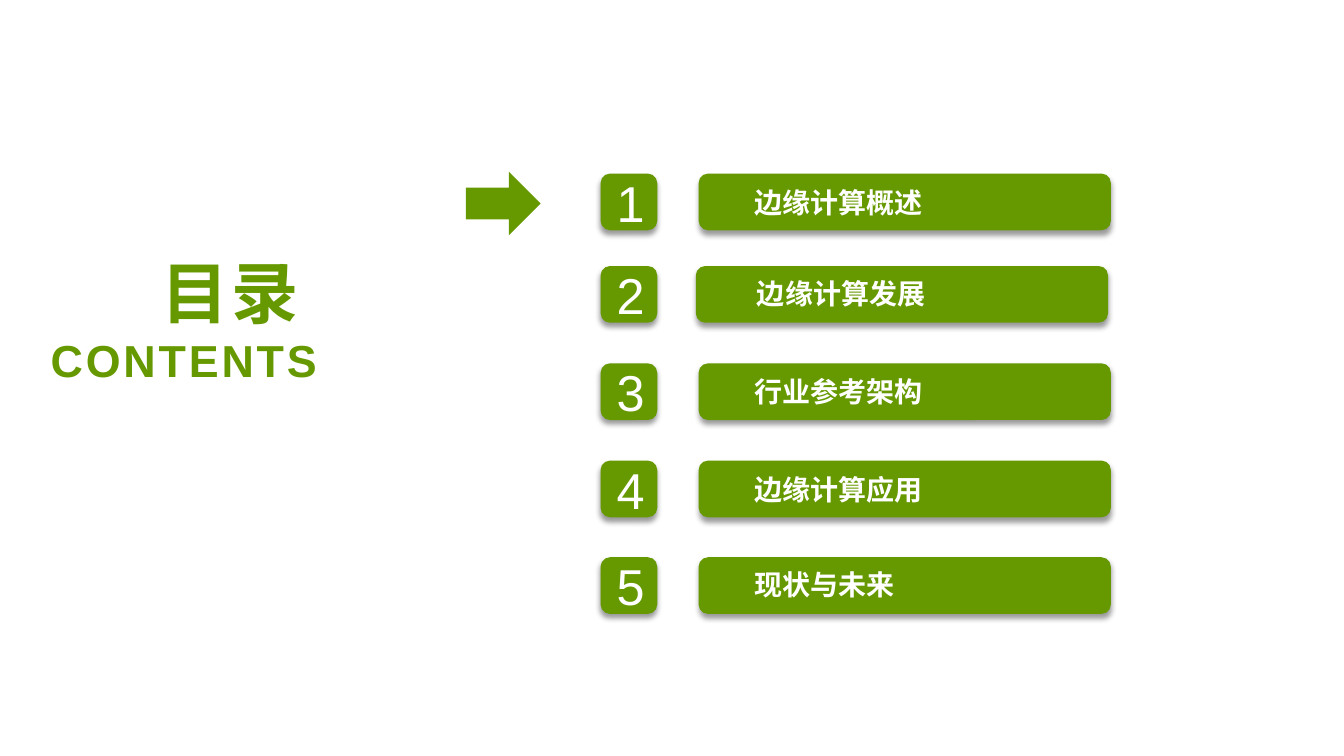
from dataclasses import dataclass

from lxml import etree
from pptx import Presentation
from pptx.dml.color import RGBColor
from pptx.enum.shapes import MSO_SHAPE
from pptx.enum.text import MSO_ANCHOR, PP_ALIGN
from pptx.oxml.ns import qn
from pptx.util import Pt

ROUNDED = MSO_SHAPE.ROUNDED_RECTANGLE
RIGHT_ARROW = MSO_SHAPE.RIGHT_ARROW
TOP, MIDDLE = MSO_ANCHOR.TOP, MSO_ANCHOR.MIDDLE
LEFT, CENTER, RIGHT = PP_ALIGN.LEFT, PP_ALIGN.CENTER, PP_ALIGN.RIGHT


@dataclass(frozen=True)
class Theme:
    green: RGBColor = RGBColor(0x66, 0x99, 0x00)
    white: RGBColor = RGBColor(0xFF, 0xFF, 0xFF)
    shadow: str = "000000"
    font: str = "Arial"
    title_size: int = 48
    subtitle_size: int = 32
    number_size: int = 36
    label_size: int = 20
    title_spacing: int = 2


THEME = Theme()
ROW_HEIGHT = 40.5
BADGE_LEFT, BAR_LEFT, BAR_WIDTH = 429, 499, 294.5

# Chapter name, row top, bar shift, label left and top within the row
CHAPTERS = [
    ("边缘计算概述", 124, 0, 529.2, 3.5),
    ("边缘计算发展", 190, -2, 531.2, 3),
    ("行业参考架构", 259.5, 0, 529.2, 3.5),
    ("边缘计算应用", 329, 0, 529.2, 3.5),
    ("现状与未来", 398, 0, 529.2, 2.5),
]


def add_soft_shadow(shape):
    effects = etree.SubElement(shape.element.spPr, qn("a:effectLst"))
    shadow = etree.SubElement(
        effects, qn("a:outerShdw"), blurRad=str(Pt(4)), dist=str(Pt(3)),
        dir=str(90 * 60000), algn="ctr", rotWithShape="0")
    color = etree.SubElement(shadow, qn("a:srgbClr"), val=THEME.shadow)
    etree.SubElement(color, qn("a:alpha"), val="40000")


def add_green_shape(shapes, kind, box, raised=True):
    shape = shapes.add_shape(kind, *map(Pt, box))
    shape.fill.solid()
    shape.fill.fore_color.rgb = THEME.green
    shape.line.fill.background()
    if raised:
        add_soft_shadow(shape)
    else:
        shape.shadow.inherit = False
    return shape


def set_up_frame(shape, anchor):
    frame = shape.text_frame
    frame.word_wrap = True
    frame.vertical_anchor = anchor
    frame.margin_left = frame.margin_right = Pt(9.5)
    frame.margin_top = frame.margin_bottom = Pt(4.8)
    return frame


def add_span(para, text, size, color, align, bold=True):
    para.alignment = align
    span = para.add_run()
    span.text = text
    span.font.name = THEME.font
    span.font.size = Pt(size)
    span.font.bold = bold
    span.font.color.rgb = color
    return span


def add_heading(page, box):
    frame = set_up_frame(page.shapes.add_textbox(*map(Pt, box)), TOP)
    lines = [("目录 ", THEME.title_size), ("CONTENTS", THEME.subtitle_size)]
    for index, (text, size) in enumerate(lines):
        para = frame.add_paragraph() if index else frame.paragraphs[0]
        span = add_span(para, text, size, THEME.green, RIGHT)
        span.font._element.set("spc", str(THEME.title_spacing * 100))


def add_chapter(page, number, name, top, bar_shift, label_left, label_top):
    """Place a numbered badge and its grouped bar and label."""
    badge = add_green_shape(page.shapes, ROUNDED,
                            (BADGE_LEFT, top, ROW_HEIGHT, ROW_HEIGHT))
    para = set_up_frame(badge, MIDDLE).paragraphs[0]
    add_span(para, str(number), THEME.number_size, THEME.white, CENTER, bold=False)

    group = page.shapes.add_group_shape()
    add_green_shape(group.shapes, ROUNDED,
                    (BAR_LEFT + bar_shift, top, BAR_WIDTH, ROW_HEIGHT))
    label = group.shapes.add_textbox(
        Pt(label_left), Pt(top + label_top), Pt(212), Pt(34))
    para = set_up_frame(label, TOP).paragraphs[0]
    add_span(para, name, THEME.label_size, THEME.white, LEFT)


def build_contents(deck):
    page = deck.slides.add_slide(deck.slide_layouts[6])
    for number, chapter in enumerate(CHAPTERS, start=1):
        add_chapter(page, number, *chapter)
    add_heading(page, (15, 175, 221, 106.5))
    add_green_shape(page.shapes, RIGHT_ARROW, (332.7, 122.7, 53.5, 45.4), raised=False)


def main():
    deck = Presentation()
    deck.slide_width, deck.slide_height = Pt(960), Pt(540)
    build_contents(deck)
    deck.save("out.pptx")


if __name__ == "__main__":
    main()
